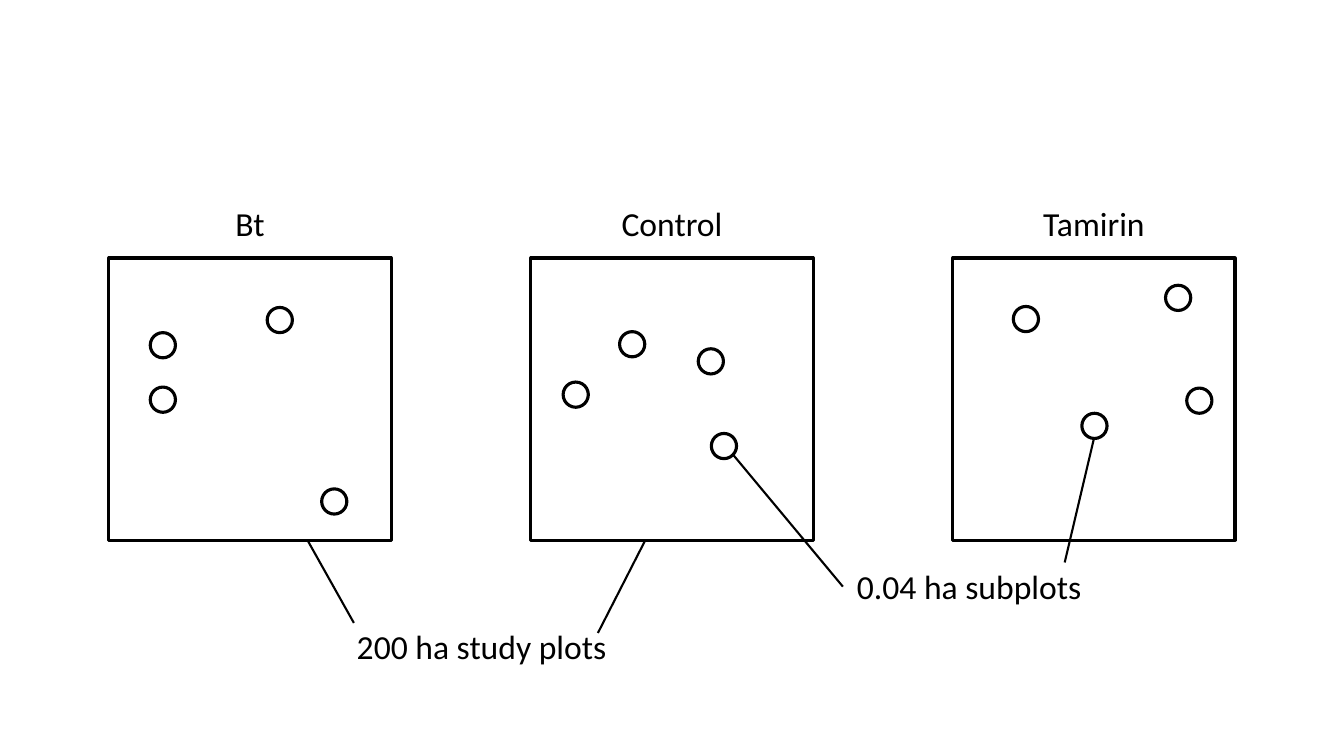
from pptx import Presentation
from pptx.dml.color import RGBColor
from pptx.enum.shapes import MSO_CONNECTOR, MSO_SHAPE
from pptx.enum.text import PP_ALIGN
from pptx.util import Inches, Pt
from lxml.etree import SubElement
from pptx.oxml.ns import qn

INK = "000000"
FONT = {"name": "Calibri", "size": Pt(24)}
PLOT_SIZE, SUBPLOT_SIZE, LABEL_HEIGHT = 2.8, 0.25, 0.5
PLOT_LEFT, PLOT_TOP, PLOT_PITCH = 1.08, 2.56, 4.185

# Treatment and subplot offsets from the plot's top left corner
PLOTS = [
    ("Bt", [(0.41, 0.74), (1.57, 0.49), (2.11, 2.29), (0.41, 1.28)]),
    ("Control", [(1.66, 0.9), (1.79, 1.74), (0.88, 0.73), (0.32, 1.23)]),
    ("Tamirin", [(2.11, 0.27), (0.6, 0.48), (1.28, 1.54), (2.32, 1.29)]),
]

# Callout text, its box, and leader lines from the marked object
CALLOUTS = [
    ("200 ha study plots", (3.44, 6.16, 2.7),
     [(3.05, 5.36, 3.51, 6.18), (6.4, 5.36, 5.93, 6.28)]),
    ("0.04 ha subplots", (8.4, 5.57, 2.52),
     [(7.27, 4.51, 8.36, 5.82), (10.85, 4.35, 10.56, 5.58)]),
]


def color(value):
    return RGBColor.from_string(value)


def add_outline(s, kind, x, y, size):
    sp = s.shapes.add_shape(kind, *map(Inches, (x, y, size, size)))
    sp.shadow.inherit = False
    sp.fill.background()
    sp.line.color.rgb = color(INK)
    sp.line.width = Pt(2.25)


def add_label(s, text, x, y, width, align=PP_ALIGN.LEFT):
    sp = s.shapes.add_textbox(*map(Inches, (x, y, width, LABEL_HEIGHT)))
    tf = sp.text_frame
    tf.word_wrap = True
    p = tf.paragraphs[0]
    p.alignment = align
    r = p.add_run()
    r.text = text
    for key, value in FONT.items():
        setattr(r.font, key, value)
    r.font.color.rgb = color(INK)


def add_leader(s, *ends):
    line = s.shapes.add_connector(MSO_CONNECTOR.STRAIGHT, *map(Inches, ends))
    line.line.color.rgb = color(INK)
    line.line.width = Pt(1.5)
    SubElement(line._element.spPr, qn("a:effectLst"))


def add_plot(s, x, y, size, treatment, subplots):
    add_label(s, treatment, x, y - 0.6, size, PP_ALIGN.CENTER)
    add_outline(s, MSO_SHAPE.RECTANGLE, x, y, size)
    for dx, dy in subplots:
        add_outline(s, MSO_SHAPE.OVAL, x + dx, y + dy, SUBPLOT_SIZE)


def add_callout(s, text, box, leaders):
    add_label(s, text, *box)
    for ends in leaders:
        add_leader(s, *ends)


prs = Presentation()
prs.slide_width, prs.slide_height = Inches(13.33), Inches(7.5)
s = prs.slides.add_slide(prs.slide_layouts[6])

# Study plots with their subplots
for i, (treatment, subplots) in enumerate(PLOTS):
    add_plot(s, PLOT_LEFT + i * PLOT_PITCH, PLOT_TOP, PLOT_SIZE, treatment, subplots)

# Size callouts
for callout in CALLOUTS:
    add_callout(s, *callout)

prs.save("out.pptx")
